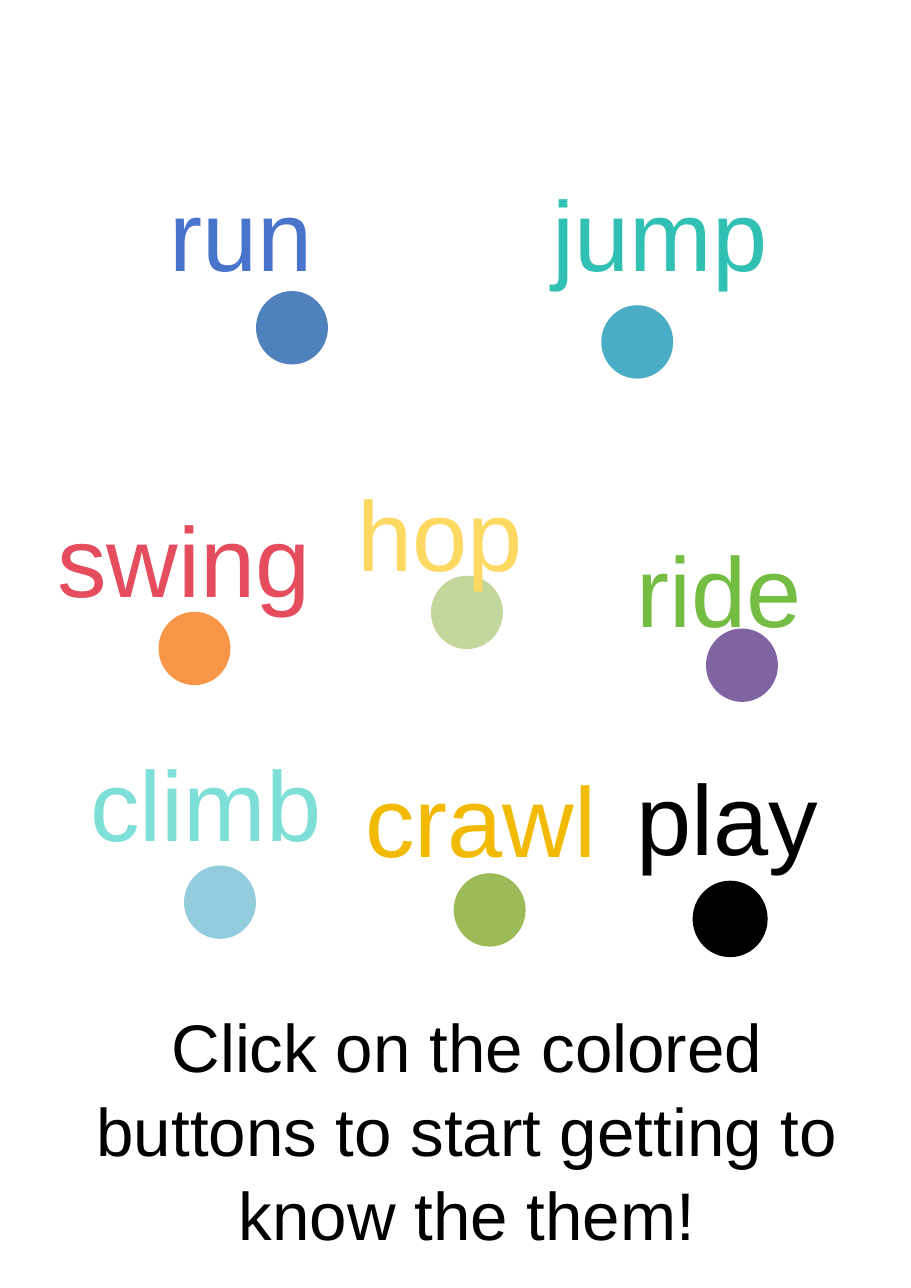
from pptx import Presentation
from pptx.dml.color import RGBColor
from pptx.enum.shapes import MSO_SHAPE as Shape
from pptx.enum.text import MSO_ANCHOR as Anchor, PP_ALIGN as Align
from pptx.util import Inches, Pt

BLACK = RGBColor(0x00, 0x00, 0x00)
WHITE = RGBColor(0xFF, 0xFF, 0xFF)
BLUE, STEEL = RGBColor(0x48, 0x74, 0xCB), RGBColor(0x4F, 0x81, 0xBD)
TEAL, CYAN = RGBColor(0x30, 0xC0, 0xB4), RGBColor(0x4B, 0xAC, 0xC6)
RED, ORANGE = RGBColor(0xE5, 0x4C, 0x5E), RGBColor(0xF7, 0x96, 0x46)
YELLOW, SAGE = RGBColor(0xFE, 0xD9, 0x61), RGBColor(0xC3, 0xD6, 0x9B)
GREEN, PURPLE = RGBColor(0x75, 0xBD, 0x42), RGBColor(0x80, 0x64, 0xA2)
AQUA, SKY = RGBColor(0x7D, 0xDF, 0xD7), RGBColor(0x93, 0xCD, 0xDD)
GOLD, OLIVE = RGBColor(0xF2, 0xBA, 0x02), RGBColor(0x9B, 0xBB, 0x59)

# Verb, its colour and place, then its button's colour and place (percent of slide)
VERBS = [
    ("run", BLUE, (17.4, 12.3), STEEL, (28.1, 22.6)),
    ("jump", TEAL, (59.5, 12.3), CYAN, (66, 23.7)),
    ("swing", RED, (5.1, 37.6), ORANGE, (17.4, 47.5)),
    ("hop", YELLOW, (38, 35.6), SAGE, (47.3, 44.7)),
    ("ride", GREEN, (68.7, 39.9), PURPLE, (77.5, 48.8)),
    ("climb", AQUA, (8.7, 56.5), SKY, (20.2, 67.2)),
    ("crawl", GOLD, (38.9, 57.8), OLIVE, (49.8, 67.8)),
    ("play", BLACK, (68.7, 57.6), BLACK, (76.2, 68.5)),
]
VERB_SIZE = (31.3, 8.3)
BUTTON_SIZE = (7.9, 5.7)


class VerbPage:
    """Places elements by percent of the slide's width and height."""

    font_name = "Arial"

    def __init__(self, deck):
        self.width, self.height = deck.slide_width, deck.slide_height
        self.slide = deck.slides.add_slide(deck.slide_layouts[6])
        self.slide.background.fill.solid()
        self.slide.background.fill.fore_color.rgb = WHITE

    def area(self, place, size):
        sides = (self.width, self.height) * 2
        return [round(side * share / 100) for side, share in zip(sides, place + size)]

    def button(self, place, color):
        dot = self.slide.shapes.add_shape(Shape.OVAL, *self.area(place, BUTTON_SIZE))
        dot.shadow.inherit = False
        dot.fill.solid()
        dot.fill.fore_color.rgb = color
        if color == BLACK:
            dot.line.color.rgb = BLACK
            dot.line.width = Pt(2)
        else:
            dot.line.fill.background()

    def text(self, words, place, size, points, color, inset, align=Align.LEFT, spacing=1.0):
        frame = self.slide.shapes.add_textbox(*self.area(place, size)).text_frame
        frame.word_wrap = True
        frame.vertical_anchor = Anchor.TOP
        frame.margin_top = Inches(inset)
        line = frame.paragraphs[0]
        line.text = words
        line.alignment = align
        line.line_spacing = spacing
        line.font.name = self.font_name
        line.font.size = Pt(points)
        line.font.color.rgb = color


def main():
    deck = Presentation()
    deck.slide_width, deck.slide_height = Inches(8.27), Inches(11.69)
    page = VerbPage(deck)

    # Instruction at the foot
    page.text("Click on the colored buttons to start getting to know the them!",
              (5.1, 77.2), (92.4, 21.9), 44, BLACK, 0.07, Align.CENTER, 1.04)

    # Buttons lie beneath the verbs
    for _, _, _, button_color, button_place in VERBS:
        page.button(button_place, button_color)

    # Verbs
    for verb, verb_color, verb_place, _, _ in VERBS:
        page.text(verb, verb_place, VERB_SIZE, 64.8, verb_color, 0.13)

    deck.save("out.pptx")


if __name__ == "__main__":
    main()
